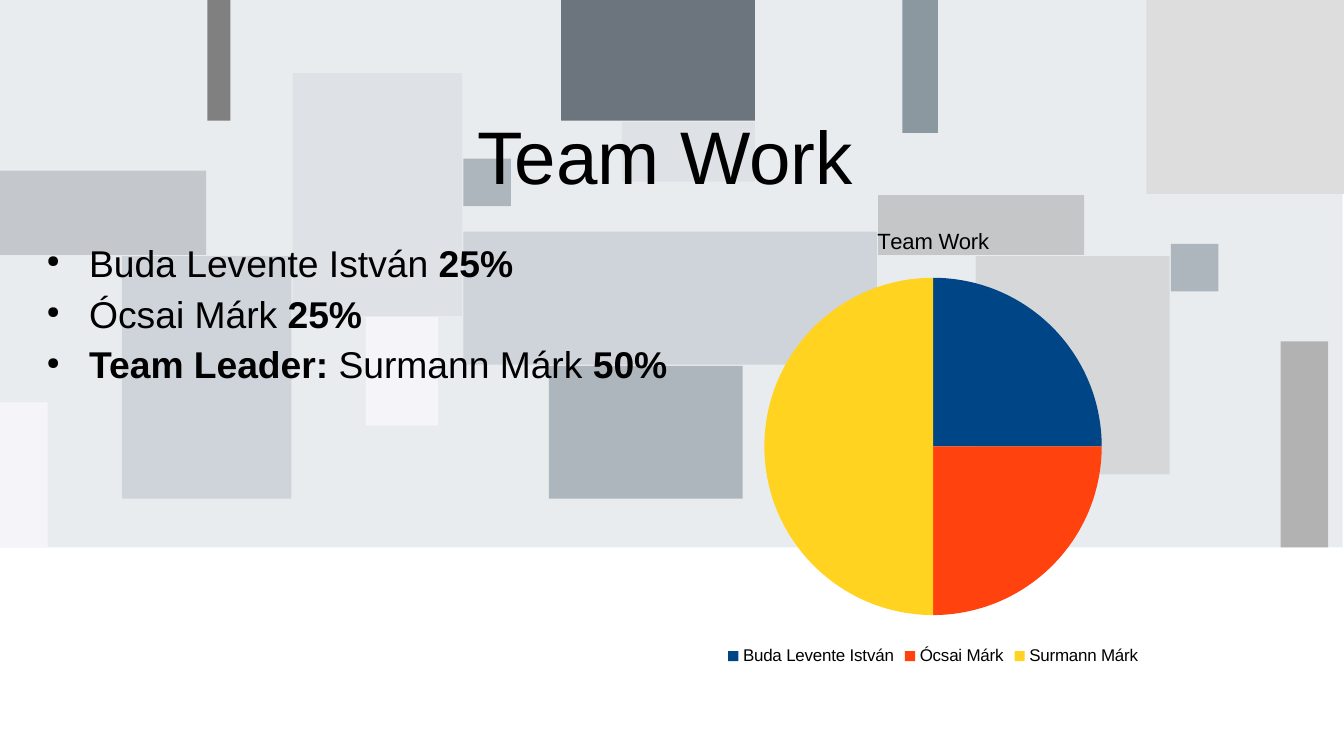
from lxml import etree
from pptx import Presentation
from pptx.chart.data import CategoryChartData
from pptx.dml.color import RGBColor
from pptx.enum.chart import XL_CHART_TYPE, XL_LEGEND_POSITION
from pptx.enum.shapes import MSO_SHAPE
from pptx.enum.text import MSO_ANCHOR, PP_ALIGN
from pptx.oxml import parse_xml
from pptx.oxml.ns import nsdecls, qn
from pptx.util import Pt

RECT = MSO_SHAPE.RECTANGLE
PIE = XL_CHART_TYPE.PIE
BOTTOM = XL_LEGEND_POSITION.BOTTOM
TOP, MIDDLE = MSO_ANCHOR.TOP, MSO_ANCHOR.MIDDLE
LEFT, CENTER = PP_ALIGN.LEFT, PP_ALIGN.CENTER

BLACK = RGBColor(0x00, 0x00, 0x00)
PALE = RGBColor(0xE9, 0xEC, 0xEF)
MIST = RGBColor(0xDE, 0xE2, 0xE6)
CLOUD = RGBColor(0xCE, 0xD4, 0xDA)
STEEL = RGBColor(0xAD, 0xB5, 0xBD)
SLATE = RGBColor(0x6C, 0x75, 0x7D)
INK = RGBColor(0x34, 0x3A, 0x40)
TEAL = RGBColor(0x2F, 0x45, 0x50)
SNOW = RGBColor(0xF4, 0xF4, 0xF9)
LIGHT = RGBColor(0xDD, 0xDD, 0xDD)
SILVER = RGBColor(0xB2, 0xB2, 0xB2)
GRAY = RGBColor(0x80, 0x80, 0x80)
BLUE = RGBColor(0x00, 0x45, 0x86)
RED = RGBColor(0xFF, 0x42, 0x0E)
GOLD = RGBColor(0xFF, 0xD3, 0x20)

UNIT = 7.2  # grid step of the background tiles
GAP = 0.72  # seam between tiles

# Column, row, columns wide, rows high, colour, opacity in percent
TILES = [
    (0, 0, 110.2, 45, PALE, 100),
    (0, 14, 17, 7, INK, 20),
    (10, 21, 14, 20, CLOUD, 100),
    (24, 6, 14, 20, MIST, 100),
    (38, 13, 4, 4, STEEL, 100),
    (46, 0, 16, 10, SLATE, 100),
    (51, 10, 11, 5, MIST, 100),
    (38, 19, 34, 11, CLOUD, 100),
    (45, 30, 16, 11, STEEL, 100),
    (72, 16, 17, 5, SILVER, 65),
    (80, 21, 16, 18, SILVER, 35),
    (30, 26, 6, 9, SNOW, 100),
    (94, 0, 16.3, 16, LIGHT, 100),
    (74, 0, 3, 11, TEAL, 50),
    (17, 0, 2, 10, GRAY, 100),
    (0, 33, 4, 12, SNOW, 100),
    (105, 28, 4, 17, SILVER, 100),
    (96, 20, 4, 4, STEEL, 100),
]

# Each line is a list of (text, bold) runs
TEAM = [
    [("Buda Levente István ", False), ("25%", True)],
    [("Ócsai Márk ", False), ("25%", True)],
    [("Team Leader: ", True), ("Surmann Márk ", False), ("50%", True)],
]
SHARES = [
    ("Buda Levente István", 25, BLUE),
    ("Ócsai Márk", 25, RED),
    ("Surmann Márk", 50, GOLD),
]


class Deck:
    """Holds the style and the current slide."""

    def __init__(self, slide, face="Arial", color=BLACK):
        self.slide, self.face, self.color = slide, face, color

    def style(self, font, size, bold=False):
        font.name, font.size, font.bold = self.face, Pt(size), bold
        font.color.rgb = self.color

    def tile(self, col, row, wide, high, color, alpha):
        box = self.slide.shapes.add_shape(
            RECT, Pt(col * UNIT), Pt(row * UNIT),
            Pt(wide * UNIT - GAP), Pt(high * UNIT - GAP))
        box.shadow.inherit = False
        box.line.fill.background()
        box.fill.solid()
        box.fill.fore_color.rgb = color
        if alpha < 100:
            tint = box.fill._xPr.find(".//" + qn("a:srgbClr"))
            etree.SubElement(tint, qn("a:alpha"), val=str(alpha * 1000))

    def bullet(self, para):
        props = para._p.get_or_add_pPr()
        props.set("marL", str(Pt(34)))
        props.set("indent", str(-Pt(25.2)))
        tint = etree.SubElement(props, qn("a:buClr"))
        etree.SubElement(tint, qn("a:srgbClr"), val=str(self.color))
        etree.SubElement(props, qn("a:buSzPct"), val="45000")
        etree.SubElement(props, qn("a:buChar"), char="●")

    def text(self, lines, left, top, width, height, *, size,
             align=LEFT, anchor=TOP, bullets=False, space=0):
        box = self.slide.shapes.add_textbox(
            Pt(left), Pt(top), Pt(width), Pt(height))
        frame = box.text_frame
        frame.word_wrap = True
        frame.vertical_anchor = anchor
        frame.margin_left = frame.margin_right = 0
        frame.margin_top = frame.margin_bottom = 0
        for i, runs in enumerate(lines):
            para = frame.add_paragraph() if i else frame.paragraphs[0]
            para.alignment = align
            if bullets:
                self.bullet(para)
            if i:
                para.space_before = Pt(space)
            for words, bold in runs:
                run = para.add_run()
                run.text = words
                self.style(run.font, size, bold)

    def pie(self, title, shares, left, top, width, height):
        data = CategoryChartData()
        data.categories = [name for name, _, _ in shares]
        data.add_series("Series 1", [value for _, value, _ in shares])
        chart = self.slide.shapes.add_chart(
            PIE, Pt(left), Pt(top), Pt(width), Pt(height), data).chart
        self.style(chart.font, 10)
        # Title and legend
        chart.has_title = True
        head = chart.chart_title.text_frame
        head.text = title
        self.style(head.paragraphs[0].runs[0].font, 13)
        chart.has_legend = True
        chart.legend.position = BOTTOM
        chart.legend.include_in_layout = False
        self.style(chart.legend.font, 10)
        # Slices
        plot = chart.plots[0]
        plot.vary_by_categories = True
        for i, (_, _, color) in enumerate(shares):
            part = plot.series[0].points[i].format
            part.fill.solid()
            part.fill.fore_color.rgb = color
            part.line.fill.background()
        # Place of the pie, as shares of the chart frame
        area = chart._chartSpace.chart.plotArea
        for old in area.findall(qn("c:layout")):
            area.remove(old)
        place = "".join(
            f'<c:{tag} val="{val}"/>' for tag, val in (
                ("layoutTarget", "inner"), ("xMode", "edge"),
                ("yMode", "edge"), ("x", 0.29), ("y", 0.15),
                ("w", 0.42), ("h", 0.73)))
        area.insert(0, parse_xml(
            f'<c:layout {nsdecls("c")}><c:manualLayout>{place}'
            '</c:manualLayout></c:layout>'))


def main():
    prs = Presentation()
    prs.slide_width, prs.slide_height = Pt(793.44), Pt(446.4)
    deck = Deck(prs.slides.add_slide(prs.slide_layouts[6]))
    # Background
    for tile in TILES:
        deck.tile(*tile)
    # Title and team list
    deck.text([[("Team Work", False)]], 36, 54, 713.5, 74.2,
              size=44, align=CENTER, anchor=MIDDLE)
    deck.text(TEAM, 18.7, 141.8, 377.3, 258.5,
              size=22, bullets=True, space=3.6)
    # Shares of the work
    deck.pie("Team Work", SHARES, 308.2, 123.1, 485.3, 272.9)
    prs.save("out.pptx")


if __name__ == "__main__":
    main()
